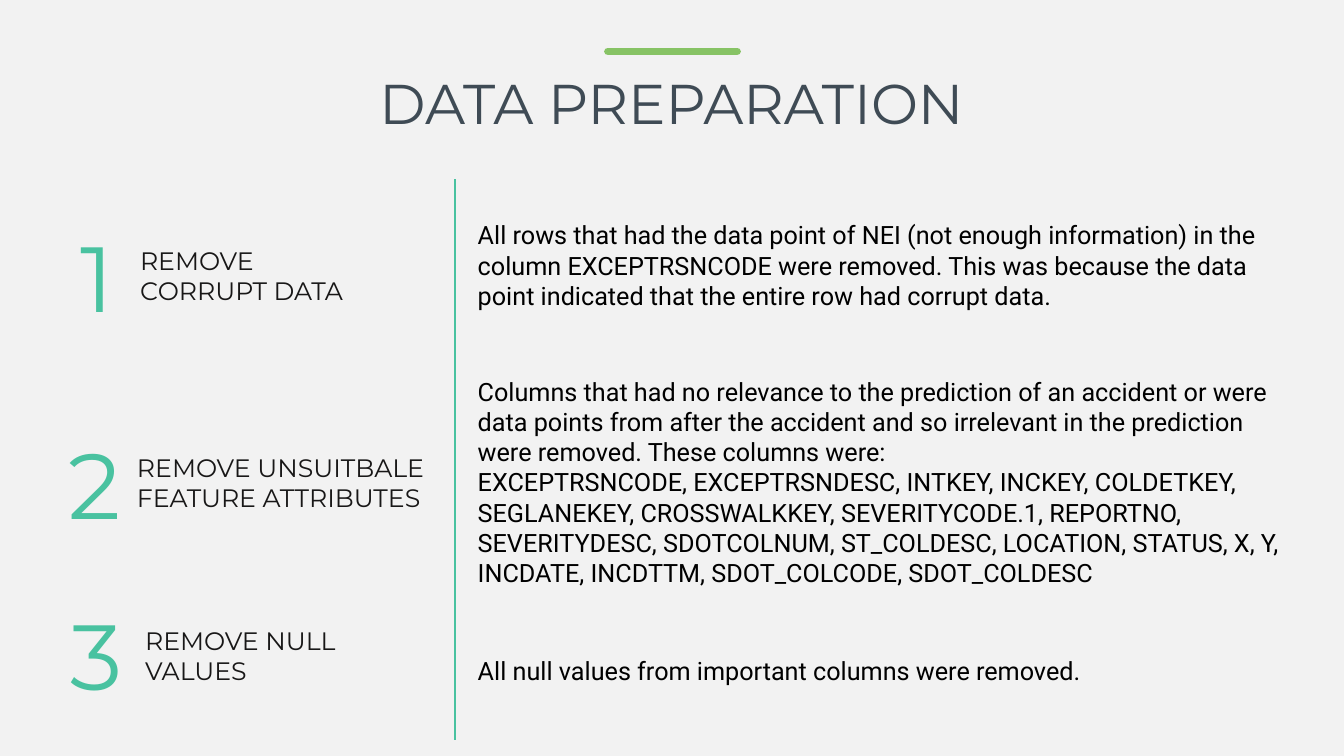
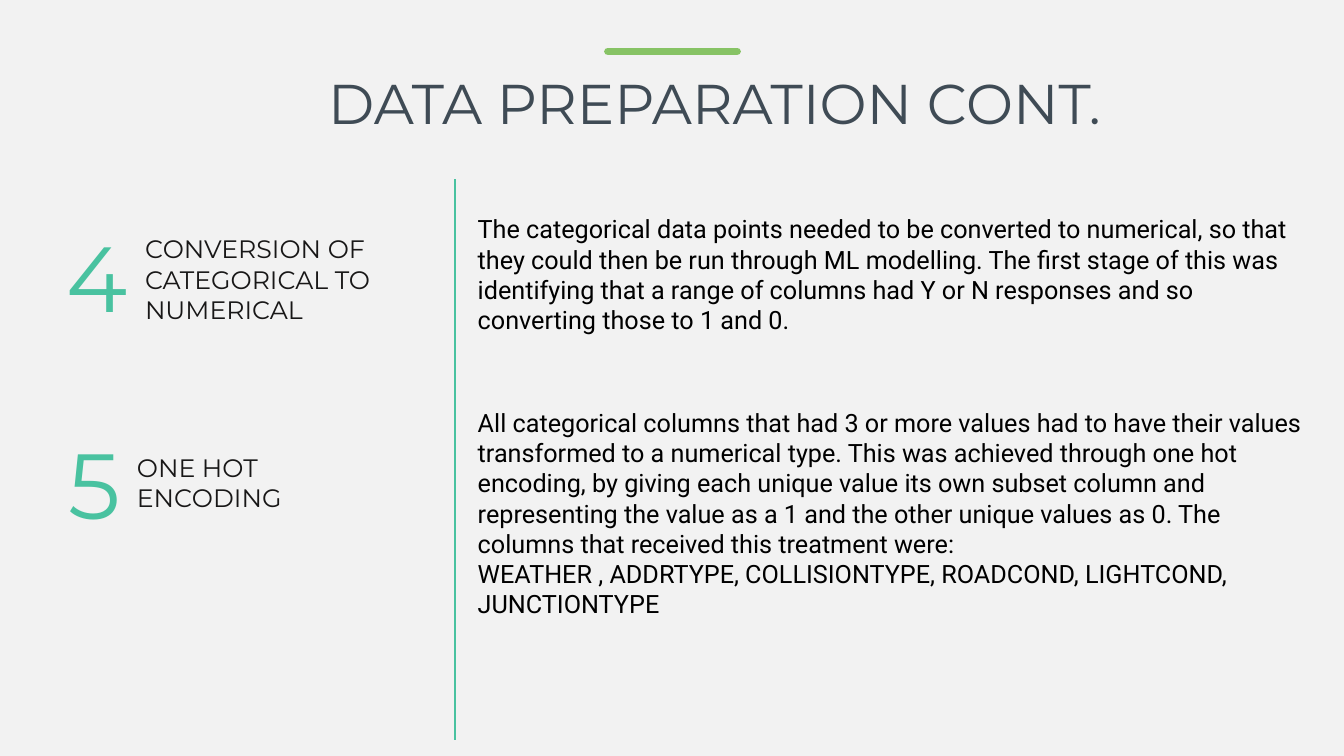
from lxml.etree import SubElement
from pptx import Presentation
from pptx.dml.color import RGBColor
from pptx.enum.shapes import MSO_CONNECTOR
from pptx.enum.text import MSO_ANCHOR, MSO_AUTO_SIZE, PP_ALIGN
from pptx.oxml.ns import qn
from pptx.util import Inches, Pt

COLORS = {
    "background": "F2F2F2",
    "title": "3F4B55",
    "accent": "87C365",
    "teal": "49C2A0",
    "label": "181717",
    "body": "000000",
}
HEADING_FONT = "Montserrat"
BODY_FONT = "Roboto"
TEXT_LEFT = 4.64

SLIDES = [
    {
        "title": "DATA PREPARATION",
        "title_width": 7.08,
        "steps": [
            ("1", 0.52, 2.13, "REMOVE CORRUPT DATA", (1.29, 2.38, 2.42, 0.71)),
            ("2", 0.5, 4.19, "REMOVE UNSUITBALE FEATURE ATTRIBUTES", (1.26, 4.44, 3.25, 0.71)),
            ("3", 0.52, 5.88, "REMOVE NULL VALUES", (1.34, 6.15, 2.42, 0.71)),
        ],
        "text_width": 8.37,
        "descriptions": [
            (2.13, 1.01, [
                "All rows that had the data point of NEI (not enough information) in the "
                "column EXCEPTRSNCODE were removed. This was because the data point "
                "indicated that the entire row had corrupt data.",
            ]),
            (3.68, 2.22, [
                "Columns that had no relevance to the prediction of an accident or were data "
                "points from after the accident and so irrelevant in the prediction were "
                "removed. These columns were:",
                "EXCEPTRSNCODE, EXCEPTRSNDESC, INTKEY, INCKEY, COLDETKEY, SEGLANEKEY, "
                "CROSSWALKKEY, SEVERITYCODE.1, REPORTNO, SEVERITYDESC, SDOTCOLNUM, "
                "ST_COLDESC, LOCATION, STATUS, X, Y, INCDATE, INCDTTM, SDOT_COLCODE, "
                "SDOT_COLDESC",
            ]),
            (6.45, 0.4, ["All null values from important columns were removed."]),
        ],
    },
    {
        "title": "DATA PREPARATION CONT. ",
        "title_width": 8.08,
        "steps": [
            ("4", 0.52, 2.13, "CONVERSION OF CATEGORICAL TO NUMERICAL", (1.34, 2.27, 2.66, 1.01)),
            ("5", 0.5, 4.19, "ONE HOT ENCODING", (1.26, 4.44, 2.73, 0.71)),
        ],
        "text_width": 8.5,
        "descriptions": [
            (2.07, 1.31, [
                "The categorical data points needed to be converted to numerical, so that "
                "they could then be run through ML modelling. The first stage of this was "
                "identifying that a range of columns had Y or N responses and so converting "
                "those to 1 and 0.",
            ]),
            (3.99, 2.22, [
                "All categorical columns that had 3 or more values had to have their values "
                "transformed to a numerical type. This was achieved through one hot "
                "encoding, by giving each unique value its own subset column and "
                "representing the value as a 1 and the other unique values as 0. The columns "
                "that received this treatment were:",
                "WEATHER , ADDRTYPE, COLLISIONTYPE, ROADCOND, LIGHTCOND, JUNCTIONTYPE",
            ]),
        ],
    },
]


def write_text(frame, paragraphs, size, color, font=HEADING_FONT,
               align=PP_ALIGN.LEFT, anchor=MSO_ANCHOR.TOP, line_spacing=None,
               auto_size=MSO_AUTO_SIZE.SHAPE_TO_FIT_TEXT):
    frame.word_wrap = True
    frame.auto_size = auto_size
    frame.vertical_anchor = anchor
    for index, text in enumerate(paragraphs):
        paragraph = frame.add_paragraph() if index else frame.paragraphs[0]
        paragraph.alignment = align
        paragraph.line_spacing = line_spacing
        run = paragraph.add_run()
        run.text = text
        run.font.name = font
        run.font.size = Pt(size)
        run.font.color.rgb = RGBColor.from_string(COLORS[color])


class Deck:
    def __init__(self):
        self.presentation = Presentation()
        self.presentation.slide_width = Inches(13.33)
        self.presentation.slide_height = Inches(7.5)
        self.slide = None

    def add_slide(self, title, title_width):
        layout = self.presentation.slide_layouts.get_by_name("Title Only")
        self.slide = self.presentation.slides.add_slide(layout)
        fill = self.slide.background.fill
        fill.solid()
        fill.fore_color.rgb = RGBColor.from_string(COLORS["background"])
        self.title(title, title_width)
        self.line((6.03, 0.51), (7.31, 0.51), "accent", 5.5, cap="rnd")
        self.line((4.51, 1.78), (4.51, 7.34), "teal", 1.5)

    def title(self, text, width):
        shape = self.slide.shapes.title
        shape.left, shape.top = Inches(3.12), Inches(0.33)
        shape.width, shape.height = Inches(width), Inches(1.45)
        write_text(shape.text_frame, [text], 40, "title", align=PP_ALIGN.CENTER,
                   anchor=MSO_ANCHOR.MIDDLE, line_spacing=0.9,
                   auto_size=MSO_AUTO_SIZE.NONE)

    def line(self, start, end, color, width, cap="flat"):
        connector = self.slide.shapes.add_connector(
            MSO_CONNECTOR.STRAIGHT, *map(Inches, start + end))
        connector.line.color.rgb = RGBColor.from_string(COLORS[color])
        connector.line.width = Pt(width)
        connector.line._get_or_add_ln().set("cap", cap)
        SubElement(connector._element.spPr, qn("a:effectLst"))

    def text(self, shapes, box, paragraphs, size, color, **text_format):
        shape = shapes.add_textbox(*map(Inches, box))
        write_text(shape.text_frame, paragraphs, size, color, **text_format)

    def step(self, number, left, top, label, label_box):
        group = self.slide.shapes.add_group_shape()
        self.text(group.shapes, (left, top, 0.88, 1.21), [number], 66, "teal",
                  align=PP_ALIGN.CENTER)
        self.text(group.shapes, label_box, [label], 18, "label")

    def description(self, top, width, height, paragraphs):
        self.text(self.slide.shapes, (TEXT_LEFT, top, width, height), paragraphs,
                  18, "body", font=BODY_FONT)


def main():
    deck = Deck()
    for content in SLIDES:
        deck.add_slide(content["title"], content["title_width"])
        for step in content["steps"]:
            deck.step(*step)
        for top, height, paragraphs in content["descriptions"]:
            deck.description(top, content["text_width"], height, paragraphs)
    deck.presentation.save("out.pptx")


if __name__ == "__main__":
    main()
